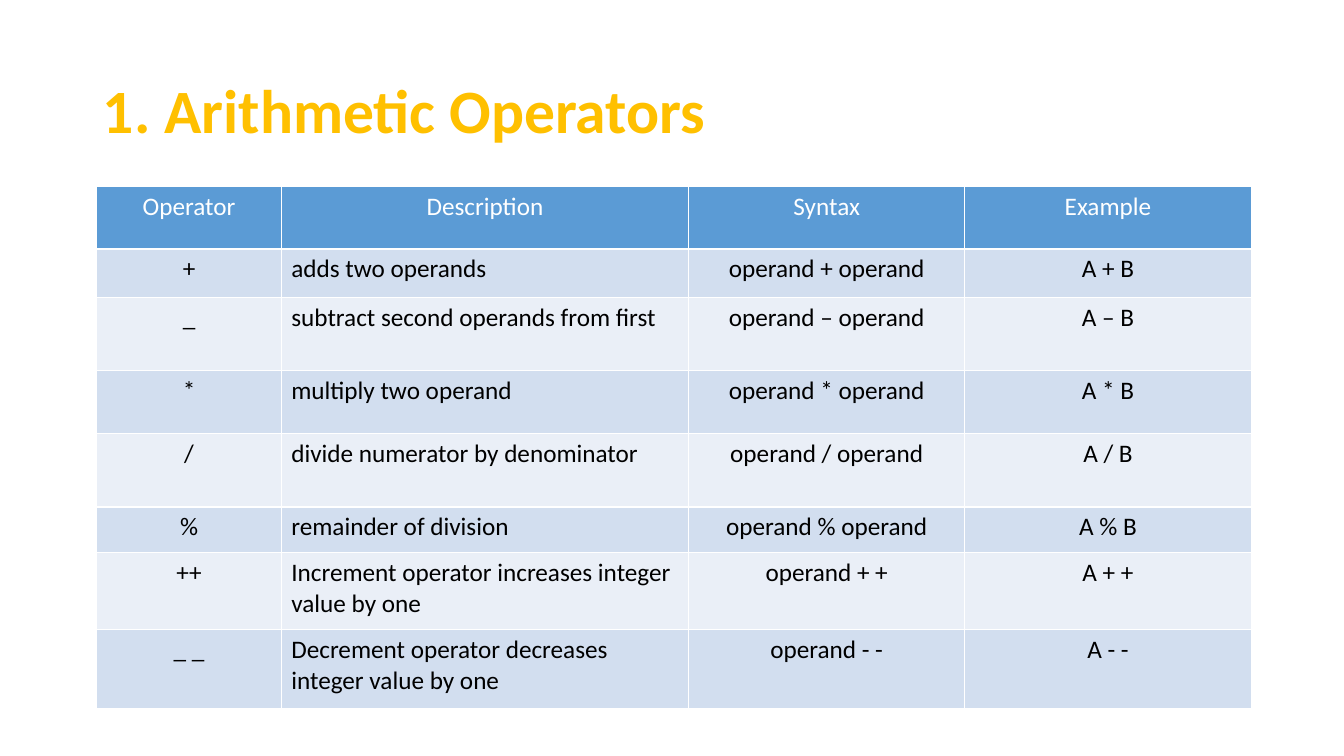
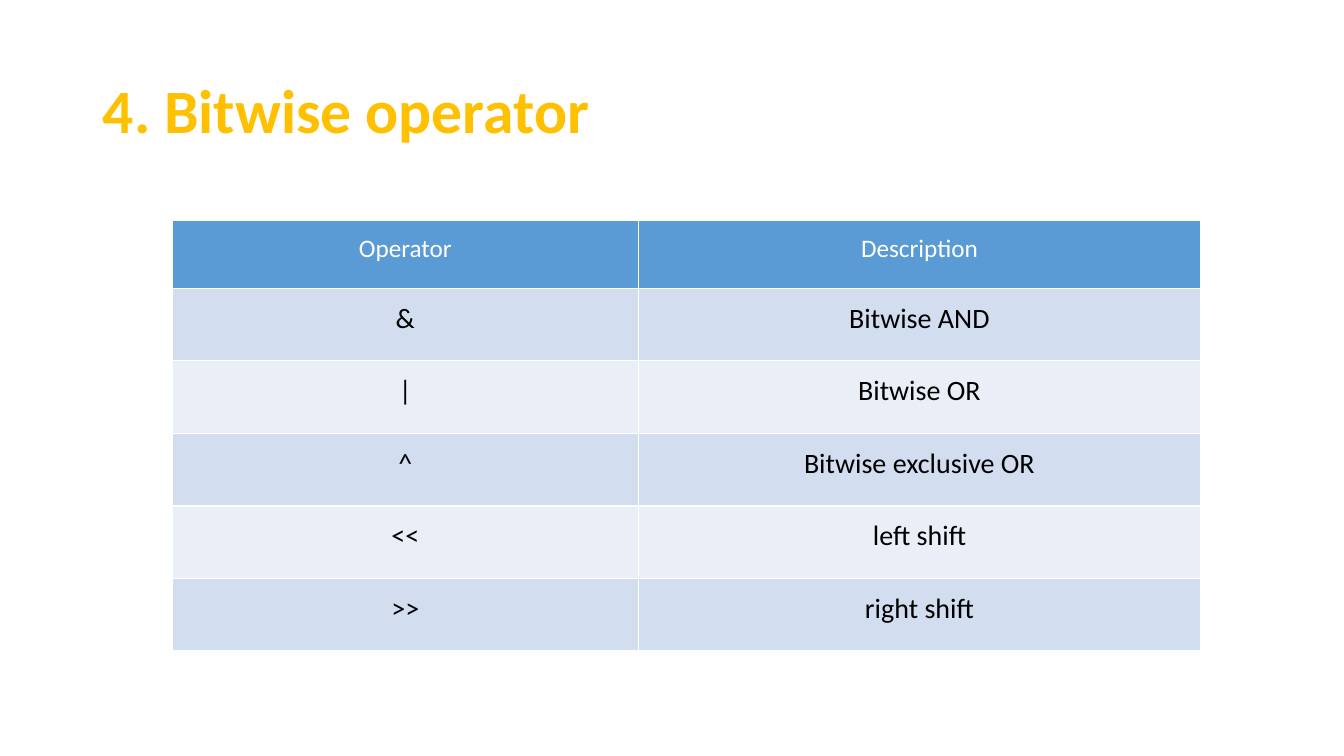
from dataclasses import dataclass

from pptx import Presentation
from pptx import slide as sl
from pptx import util as u
from pptx.dml.color import RGBColor
from pptx.enum import text
from pptx.text import text as tx

FONT = "Calibri"
GOLD = RGBColor(0xFF, 0xC0, 0x00)
BLUE = RGBColor(0x5B, 0x9B, 0xD5)
BANDS = (RGBColor(0xD2, 0xDE, 0xEF), RGBColor(0xEA, 0xEF, 0xF7))
WHITE = RGBColor(0xFF, 0xFF, 0xFF)
BLACK = RGBColor(0x00, 0x00, 0x00)
CENTER, LEFT = text.PP_ALIGN.CENTER, text.PP_ALIGN.LEFT


@dataclass(frozen=True)
class CellStyle:
    inset_x: float
    inset_y: float
    body_size: int
    left_columns: tuple[int, ...] = ()
    line_spacing: float = 1.0
    before: float = 0
    after: float = 0


@dataclass(frozen=True)
class OperatorTable:
    title: str
    left: float
    top: float
    columns: tuple[float, ...]
    heights: tuple[float, ...]
    style: CellStyle
    rows: tuple[tuple[str, ...], ...]


COMPACT = CellStyle(0.1, 0.05, 18, left_columns=(1,))
SPACIOUS = CellStyle(0.08, 0.08, 20, line_spacing=1.15, before=11.2, after=15)

TABLES = (
    OperatorTable(
        "1. Arithmetic Operators", 0.96, 1.85,
        (1.83, 4.04, 2.74, 2.84),
        (0.62, 0.48, 0.73, 0.62, 0.73, 0.45, 0.77, 0.78),
        COMPACT,
        (
            ("Operator", "Description", "Syntax", "Example"),
            ("+", "adds two operands", "operand + operand", "A + B"),
            ("_", "subtract second operands from first", "operand – operand", "A – B"),
            ("*", "multiply two operand", "operand * operand", "A * B"),
            ("/", "divide numerator by denominator", "operand / operand", "A / B"),
            ("%", "remainder of division", "operand % operand", "A % B"),
            ("++", "Increment operator increases integer value by one", "operand + +", "A + +"),
            ("_ _", "Decrement operator decreases integer value by one", "operand - -", "A - -"),
        ),
    ),
    OperatorTable(
        "4. Bitwise operator", 1.71, 2.19,
        (4.62, 5.58),
        (0.67,) + (0.72,) * 5,
        SPACIOUS,
        (
            ("Operator", "Description"),
            ("&", "Bitwise AND"),
            ("|", "Bitwise OR"),
            ("^", "Bitwise exclusive OR"),
            ("<<", "left shift"),
            (">>", "right shift"),
        ),
    ),
)


def format_runs(para: tx._Paragraph, size: int, color: RGBColor, bold: bool) -> None:
    for span in para.runs:
        span.font.name = FONT
        span.font.size = u.Pt(size)
        span.font.bold = bold
        span.font.color.rgb = color


def draw_title(page: sl.Slide, title: str) -> None:
    box = page.shapes.title
    box.left, box.top = u.Inches(0.92), u.Inches(0.4)
    box.width, box.height = u.Inches(11.5), u.Inches(1.45)
    frame = box.text_frame
    frame.text = title
    frame.vertical_anchor = text.MSO_ANCHOR.MIDDLE
    para = frame.paragraphs[0]
    para.alignment = LEFT
    para.line_spacing = 0.9
    format_runs(para, 44, GOLD, True)


def draw_table(page: sl.Slide, item: OperatorTable) -> None:
    style = item.style
    table = page.shapes.add_table(
        len(item.rows), len(item.columns),
        u.Inches(item.left), u.Inches(item.top),
        u.Inches(sum(item.columns)), u.Inches(sum(item.heights)),
    ).table
    for column, width in zip(table.columns, item.columns):
        column.width = u.Inches(width)
    for row_index, (row, height, words) in enumerate(zip(table.rows, item.heights, item.rows)):
        row.height = u.Inches(height)
        header = row_index == 0
        for column_index, (cell, word) in enumerate(zip(row.cells, words)):
            cell.fill.solid()
            cell.fill.fore_color.rgb = BLUE if header else BANDS[(row_index - 1) % 2]
            cell.margin_left = cell.margin_right = u.Inches(style.inset_x)
            cell.margin_top = cell.margin_bottom = u.Inches(style.inset_y)
            cell.text_frame.text = word
            para = cell.text_frame.paragraphs[0]
            left_aligned = not header and column_index in style.left_columns
            para.alignment = LEFT if left_aligned else CENTER
            para.line_spacing = style.line_spacing
            para.space_before = u.Pt(style.before)
            para.space_after = u.Pt(style.after)
            format_runs(para, 18 if header else style.body_size, WHITE if header else BLACK, False)


def build_deck() -> None:
    deck = Presentation()
    deck.slide_width, deck.slide_height = u.Inches(13.33), u.Inches(7.5)
    title_only = deck.slide_layouts.get_by_name("Title Only")
    for item in TABLES:
        page = deck.slides.add_slide(title_only)
        draw_title(page, item.title)
        draw_table(page, item)
    deck.save("out.pptx")


build_deck()
